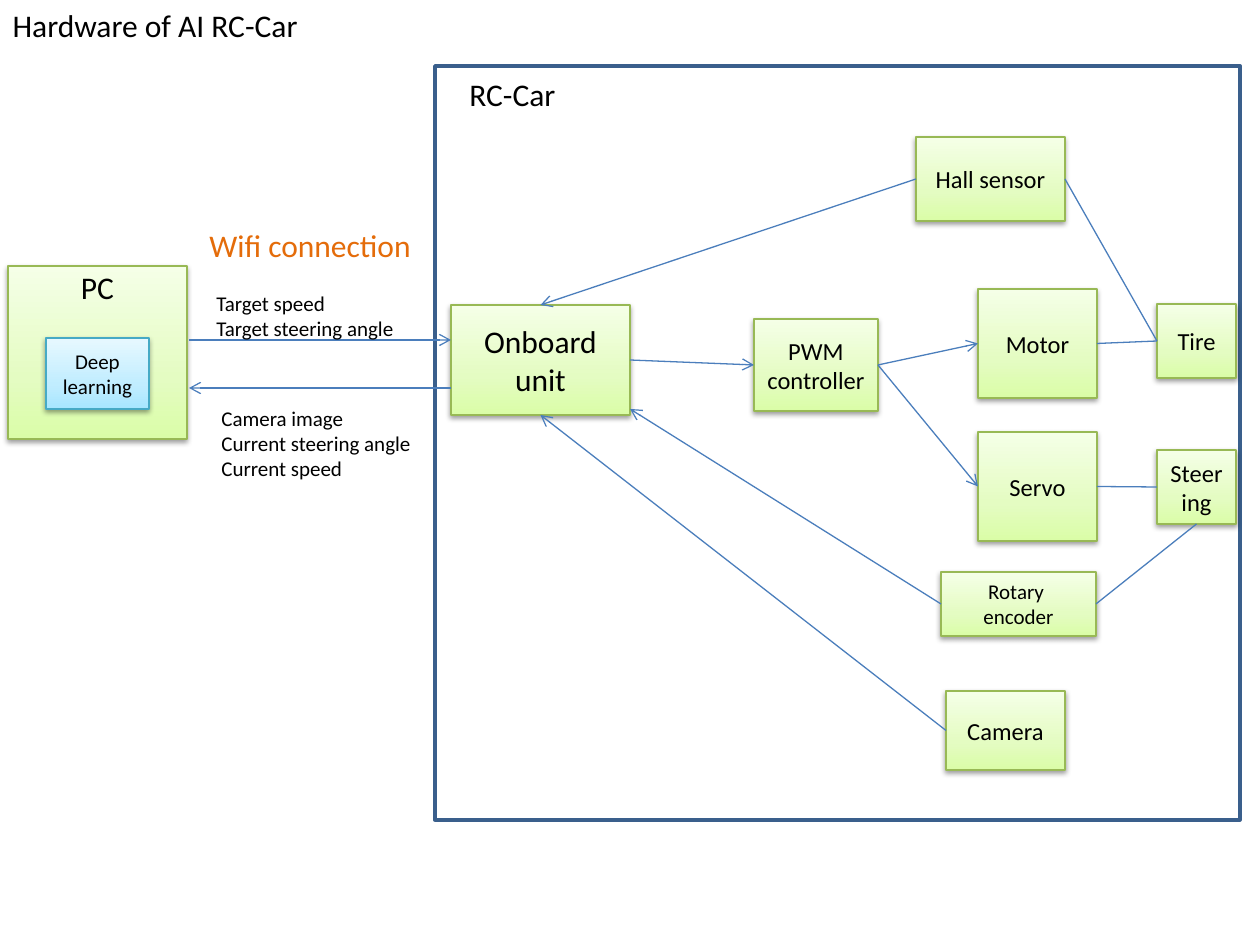
from copy import deepcopy
from dataclasses import dataclass

from lxml import etree
from pptx import Presentation
from pptx.dml.color import RGBColor
from pptx.enum.shapes import MSO_CONNECTOR, MSO_SHAPE
from pptx.enum.text import MSO_ANCHOR, MSO_AUTO_SIZE, PP_ALIGN
from pptx.oxml.ns import qn
from pptx.util import Emu, Pt

RECTANGLE = MSO_SHAPE.RECTANGLE
STRAIGHT = MSO_CONNECTOR.STRAIGHT
LEFT, CENTER = PP_ALIGN.LEFT, PP_ALIGN.CENTER
TOP_ANCHOR, MIDDLE_ANCHOR = MSO_ANCHOR.TOP, MSO_ANCHOR.MIDDLE
FIT_SHAPE, NO_FIT = MSO_AUTO_SIZE.SHAPE_TO_FIT_TEXT, MSO_AUTO_SIZE.NONE
TOP, LEFT_SIDE, BOTTOM, RIGHT_SIDE = range(4)
TITLE_ONLY = 5
EMU_PER_PX = 914400 / 126


@dataclass(frozen=True)
class Theme:
    font: str = "Calibri"
    ink: str = "000000"
    accent: str = "E46C0A"
    wire: str = "4B7EBC"
    frame: str = "3A5F8C"
    green: tuple = ("DAFDA7", "E4FCC2", "F5FFE7")
    green_edge: str = "98B955"
    blue: tuple = ("A7E6FF", "C1EDFF", "E7F8FF")
    blue_edge: str = "46AAC5"
    stops: tuple = (0, 0.35, 1)
    large: int = 18
    medium: int = 14
    small: int = 12
    thin: float = 0.75
    thick: float = 2


THEME = Theme()


def px(*lengths):
    return [Emu(round(length * EMU_PER_PX)) for length in lengths]


def write(frame, lines, size, color=THEME.ink, align=LEFT, anchor=TOP_ANCHOR):
    frame.vertical_anchor = anchor
    for index, line in enumerate(lines):
        paragraph = frame.add_paragraph() if index else frame.paragraphs[0]
        paragraph.alignment = align
        run = paragraph.add_run()
        run.text = line
        run.font.name = THEME.font
        run.font.size = Pt(size)
        run.font.color.rgb = RGBColor.from_string(color)


def outline(item, color, width):
    item.line.color.rgb = RGBColor.from_string(color)
    item.line.width = Pt(width)


def paint_gradient(shape, colors):
    shape.fill.gradient()
    shape.fill.gradient_angle = 90
    stop_list = shape._element.spPr.find(f".//{qn('a:gsLst')}")
    stop_list.insert(1, deepcopy(stop_list[0]))
    for stop, color, position in zip(shape.fill.gradient_stops, colors, THEME.stops):
        stop.color.rgb = RGBColor.from_string(color)
        stop.position = position


def cast_shadow(shape):
    shape.shadow.inherit = False
    effects = shape._element.spPr.find(qn("a:effectLst"))
    shadow = etree.SubElement(effects, qn("a:outerShdw"), blurRad=str(Pt(3.1)),
                              dist=str(Pt(1.6)), dir="5400000", rotWithShape="0")
    color = etree.SubElement(shadow, qn("a:srgbClr"), val=THEME.ink)
    etree.SubElement(color, qn("a:alpha"), val="38000")


def add_block(slide, box, lines=(), size=THEME.medium,
              colors=THEME.green, edge=THEME.green_edge):
    block = slide.shapes.add_shape(RECTANGLE, *px(*box))
    paint_gradient(block, colors)
    outline(block, edge, THEME.thin)
    cast_shadow(block)
    block.text_frame.word_wrap = True
    write(block.text_frame, lines, size, align=CENTER, anchor=MIDDLE_ANCHOR)
    return block


def add_frame(slide, box):
    frame = slide.shapes.add_shape(RECTANGLE, *px(*box))
    frame.fill.background()
    outline(frame, THEME.frame, THEME.thick)
    frame.shadow.inherit = False


def add_label(slide, box, lines, size=THEME.large, color=THEME.ink,
              align=LEFT, wrap=True):
    frame = slide.shapes.add_textbox(*px(*box)).text_frame
    frame.word_wrap = wrap
    frame.auto_size = FIT_SHAPE
    write(frame, lines, size, color, align)


def add_wire(slide, start, end, arrow=True):
    points = [end_point if isinstance(end_point[0], int) else (0, 0)
              for end_point in (start, end)]
    wire = slide.shapes.add_connector(STRAIGHT, *px(*points[0], *points[1]))
    for end_point, join in ((start, wire.begin_connect), (end, wire.end_connect)):
        if not isinstance(end_point[0], int):
            join(*end_point)
    outline(wire, THEME.wire, THEME.thin)
    if arrow:
        etree.SubElement(wire.line._get_or_add_ln(), qn("a:tailEnd"), type="arrow")
    etree.SubElement(wire._element.spPr, qn("a:effectLst"))


def set_title(slide, box, text):
    title = slide.shapes.title
    title.left, title.top, title.width, title.height = px(*box)
    title.text_frame.word_wrap = True
    title.text_frame.auto_size = NO_FIT
    write(title.text_frame, [text], THEME.large)


def main():
    deck = Presentation()
    deck.slide_width, deck.slide_height = px(1260, 945)
    slide = deck.slides.add_slide(deck.slide_layouts[TITLE_ONLY])
    set_title(slide, (0, 0, 436, 50), "Hardware of AI RC-Car")

    motor = add_block(slide, (978, 289, 119, 109), ["Motor"])
    servo = add_block(slide, (978, 432, 119, 109), ["Servo"])
    pwm = add_block(slide, (754, 319, 124, 92), ["PWM controller"])
    board = add_block(slide, (451, 305, 179, 110), ["Onboard unit"], THEME.large)
    add_block(slide, (8, 266, 179, 173))
    add_block(slide, (46, 338, 103, 71), ["Deep", "learning"], THEME.small,
              THEME.blue, THEME.blue_edge)
    add_frame(slide, (435, 66, 805, 754))
    hall_sensor = add_block(slide, (916, 137, 149, 84), ["Hall sensor"])
    tire = add_block(slide, (1157, 304, 79, 74), ["Tire"])
    steering = add_block(slide, (1157, 450, 79, 74), ["Steering"])
    encoder = add_block(slide, (941, 572, 155, 64), ["Rotary ", "encoder"], THEME.small)
    camera = add_block(slide, (946, 691, 119, 79), ["Camera"])

    signals = [
        ((pwm, RIGHT_SIDE), (motor, LEFT_SIDE)),
        ((pwm, RIGHT_SIDE), (servo, LEFT_SIDE)),
        ((189, 340), (451, 340)),
        ((451, 388), (189, 388)),
        ((board, RIGHT_SIDE), (pwm, LEFT_SIDE)),
        ((hall_sensor, LEFT_SIDE), (board, TOP)),
        ((camera, LEFT_SIDE), (board, BOTTOM)),
        ((encoder, LEFT_SIDE), (630, 409)),
    ]
    linkages = [
        ((motor, RIGHT_SIDE), (tire, LEFT_SIDE)),
        ((servo, RIGHT_SIDE), (steering, LEFT_SIDE)),
        ((hall_sensor, RIGHT_SIDE), (tire, LEFT_SIDE)),
        ((encoder, RIGHT_SIDE), (steering, BOTTOM)),
    ]
    for start, end in signals:
        add_wire(slide, start, end)
    for start, end in linkages:
        add_wire(slide, start, end, arrow=False)

    add_label(slide, (457, 69, 277, 50), ["RC-Car"])
    add_label(slide, (197, 220, 237, 50), ["Wifi connection"], color=THEME.accent)
    add_label(slide, (209, 399, 246, 89),
              ["Camera image", "Current steering angle", "Current speed"], THEME.small)
    add_label(slide, (204, 284, 287, 63),
              ["Target speed", "Target steering angle"], THEME.small)
    add_label(slide, (68, 262, 59, 50), ["PC"], align=CENTER, wrap=False)

    deck.save("out.pptx")


if __name__ == "__main__":
    main()
